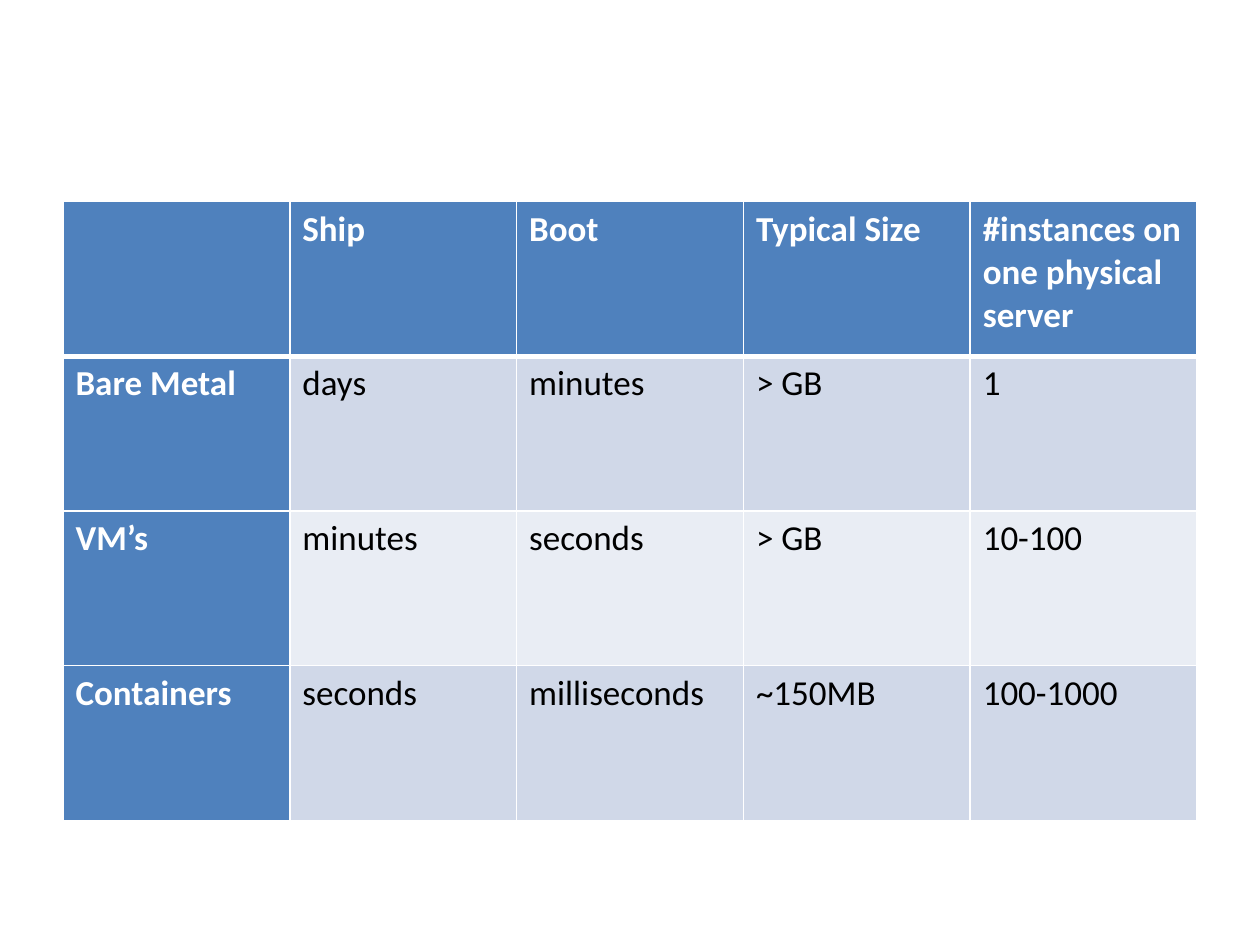
from lxml.etree import SubElement
from pptx import Presentation
from pptx.dml.color import RGBColor
from pptx.oxml.ns import qn
from pptx.util import Pt

WHITE = RGBColor(0xFF, 0xFF, 0xFF)
BLACK = RGBColor(0x00, 0x00, 0x00)
BLUE = RGBColor(0x4F, 0x81, 0xBD)
BANDS = RGBColor(0xD0, 0xD8, 0xE8), RGBColor(0xE9, 0xED, 0xF4)

ROWS = [
    ["", "Ship", "Boot", "Typical Size", "#instances on one physical server"],
    ["Bare Metal", "days", "minutes", "> GB", "1"],
    ["VM’s", "minutes", "seconds", "> GB", "10-100"],
    ["Containers", "seconds", "milliseconds", "~150MB", "100-1000"],
]


def add_edge(cell, side, width):
    props = cell._tc.get_or_add_tcPr()
    line = SubElement(props, qn(f"a:ln{side}"), w=str(Pt(width)))
    fill = SubElement(line, qn("a:solidFill"))
    SubElement(fill, qn("a:srgbClr"), val=str(WHITE))


def style_cell(cell, text, row, col):
    head = row == 0 or col == 0
    heavy = {0: "B", 1: "T"}.get(row)
    for side in "LRTB":
        add_edge(cell, side, 3 if side == heavy else 1)
    cell.fill.solid()
    cell.fill.fore_color.rgb = BLUE if head else BANDS[(row - 1) % 2]
    cell.text = text
    font = cell.text_frame.paragraphs[0].font
    font.name = "Calibri"
    font.size = Pt(20)
    font.bold = head
    font.color.rgb = WHITE if head else BLACK


def add_grid(slide, rows, left, top, width, height):
    frame = slide.shapes.add_table(
        len(rows), len(rows[0]), Pt(left), Pt(top), Pt(width), Pt(height))
    table = frame.table
    table.first_col = True
    for row, texts in enumerate(rows):
        for col, text in enumerate(texts):
            style_cell(table.cell(row, col), text, row, col)


def main():
    deck = Presentation()
    deck.slide_width, deck.slide_height = Pt(720), Pt(540)
    slide = deck.slides.add_slide(deck.slide_layouts[6])
    add_grid(slide, ROWS, 36, 115.2, 648, 353.6)
    deck.save("out.pptx")


if __name__ == "__main__":
    main()
